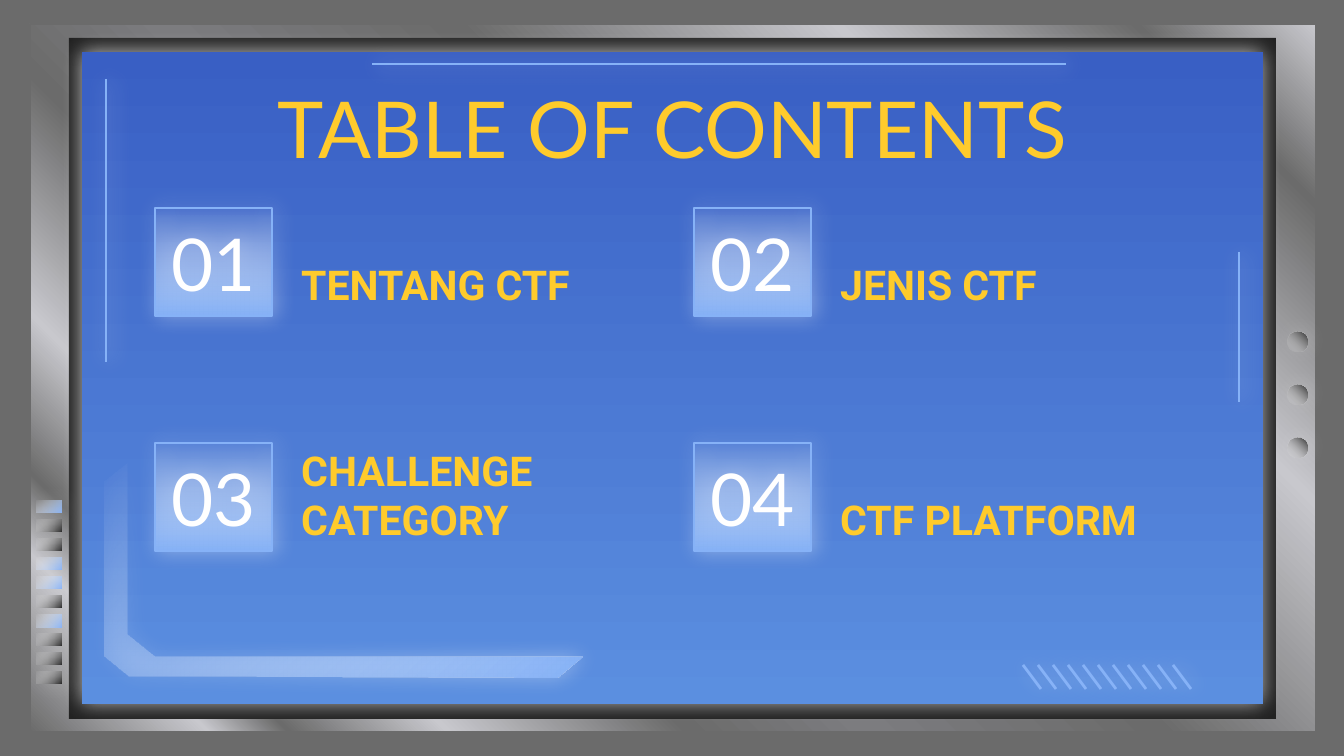
from lxml import etree
from pptx import Presentation
from pptx.dml.color import RGBColor
from pptx.enum.shapes import MSO_CONNECTOR, MSO_SHAPE
from pptx.enum.text import MSO_ANCHOR, PP_ALIGN
from pptx.oxml.ns import qn
from pptx.util import Inches, Pt

RECT, OVAL = MSO_SHAPE.RECTANGLE, MSO_SHAPE.OVAL
STRAIGHT = MSO_CONNECTOR.STRAIGHT
LEFT, CENTER = PP_ALIGN.LEFT, PP_ALIGN.CENTER
TOP, MIDDLE, BOTTOM = MSO_ANCHOR.TOP, MSO_ANCHOR.MIDDLE, MSO_ANCHOR.BOTTOM

SLIDE_W, SLIDE_H = 1344, 756
SCALE = Inches(10) / SLIDE_W
COLORS = {
    "steel": "6B6B6B", "steel_mid": "7C7C7F", "shine": "C8C8CD",
    "dark": "222222", "screen_top": "395FC4", "screen_bottom": "5B8FE0",
    "glow": "86B2F7", "white": "FFFFFF", "yellow": "FFCB2C",
}
BEZEL_STOPS = [(0, "steel"), (9, "shine"), (13, "steel"), (21, "shine"),
               (33, "steel"), (42, "steel_mid"), (57, "steel"),
               (76, "shine"), (91, "steel"), (100, "shine")]
SOFT_GLOW = (35, 1.5)
TOPICS = ["TENTANG CTF", "JENIS CTF", "CHALLENGE CATEGORY", "CTF PLATFORM"]


def px(length):
    """Turn pixels into EMU."""
    return round(length * SCALE)


def rgb(name):
    """Look up a named colour."""
    return RGBColor.from_string(COLORS[name])


def add_color(parent, name, alpha=100):
    """Append a colour element with an opacity in percent."""
    color = etree.SubElement(parent, qn("a:srgbClr"), val=COLORS[name])
    if alpha < 100:
        etree.SubElement(color, qn("a:alpha"), val=str(alpha * 1000))


def set_gradient(shape, stops, angle):
    """Fill with (position, colour[, opacity]) stops, angle clockwise."""
    shape.fill.gradient()
    gradient = shape._element.spPr.find(qn("a:gradFill"))
    for child in list(gradient):
        gradient.remove(child)
    gradient.set("rotWithShape", "1")
    stop_list = etree.SubElement(gradient, qn("a:gsLst"))
    for position, *color in stops:
        stop = etree.SubElement(stop_list, qn("a:gs"), pos=str(position * 1000))
        add_color(stop, *color)
    etree.SubElement(gradient, qn("a:lin"), ang=str(angle * 60000), scaled="0")


def fade(name):
    """Return stops from a colour to clear white."""
    return [(0, name), (100, "white", 0)]


def set_glow(shape, alpha, distance):
    """Give a blurred white shadow to a shape or connector."""
    properties = shape._element.spPr
    effects = properties.find(qn("a:effectLst"))
    if effects is None:
        effects = etree.SubElement(properties, qn("a:effectLst"))
    shadow = etree.SubElement(
        effects, qn("a:outerShdw"), blurRad=str(Pt(11.2)),
        dist=str(Pt(distance)), dir="0", algn="bl", rotWithShape="0")
    add_color(shadow, "white", alpha)


def style(shape, fill, angle=0, line=None, width=1.5, glow=None):
    """Set the fill (colour name or stops), outline and glow."""
    shape.shadow.inherit = False
    if isinstance(fill, str):
        shape.fill.solid()
        shape.fill.fore_color.rgb = rgb(fill)
    else:
        set_gradient(shape, fill, angle)
    if line:
        shape.line.color.rgb = rgb(line)
        shape.line.width = Pt(width)
    else:
        shape.line.fill.background()
    if glow:
        set_glow(shape, *glow)


def add_panel(slide, box, fill, kind=RECT, rotation=0, **look):
    """Add a styled preset shape."""
    panel = slide.shapes.add_shape(kind, *map(px, box))
    panel.rotation = rotation
    style(panel, fill, **look)
    return panel


def add_beam(slide, x1, y1, x2, y2):
    """Add a glowing straight line."""
    beam = slide.shapes.add_connector(STRAIGHT, *map(px, (x1, y1, x2, y2)))
    beam.line.color.rgb = rgb("glow")
    beam.line.width = Pt(1.5)
    set_glow(beam, *SOFT_GLOW)


def write(shape, text, size=22, font="Lato", color="yellow", bold=False,
          align=CENTER, anchor=TOP):
    """Put formatted text in a shape."""
    frame = shape.text_frame
    frame.word_wrap = True
    frame.vertical_anchor = anchor
    frame.margin_left = frame.margin_right = Inches(0.1)
    frame.margin_top = frame.margin_bottom = Inches(0.1)
    paragraph = frame.paragraphs[0]
    paragraph.alignment = align
    run = paragraph.add_run()
    run.text = text
    run.font.size = Pt(size)
    run.font.name = font
    run.font.bold = bold
    run.font.color.rgb = rgb(color)


def add_label(slide, box, text, **text_format):
    """Add a text box."""
    write(slide.shapes.add_textbox(*map(px, box)), text, **text_format)


def add_monitor(slide):
    """Draw the bezel, the screen, the knobs and the lamps."""
    add_panel(slide, (30, 24, 1286, 708), BEZEL_STOPS, angle=315,
              line="steel", width=0.75)
    add_panel(slide, (69, 38, 1207, 681), "dark")
    add_panel(slide, (82, 52, 1181, 652),
              [(0, "screen_top"), (100, "screen_bottom")], angle=90, glow=(72, 0))
    for knob in range(3):
        add_panel(slide, (1287, 332 + 53 * knob, 20, 20), fade("dark"), kind=OVAL,
                  rotation=90, angle=45, glow=SOFT_GLOW)
    lit_lamps = {0, 3, 4, 6}
    for lamp in range(10):
        add_panel(slide, (36, 501 + 19 * lamp, 25, 12),
                  fade("glow" if lamp in lit_lamps else "dark"),
                  rotation=180, angle=45, glow=SOFT_GLOW)


def add_screen_trim(slide):
    """Draw the hatching, the corner bracket and the beams."""
    for hatch in range(11):
        x = 1023 + 15 * hatch
        add_beam(slide, x, 665, x + 18, 689)
    outline = slide.shapes.build_freeform(556, 678, scale=SCALE)
    outline.add_line_segments([(129, 676), (105, 656), (105, 482), (128, 464),
                               (128, 634), (155, 656), (582, 656)], close=True)
    style(outline.convert_to_shape(), fade("glow"), angle=225, glow=SOFT_GLOW)
    add_beam(slide, 106, 79, 106, 362)
    add_beam(slide, 1239, 252, 1239, 402)
    add_beam(slide, 1066, 64, 372, 64)


def add_topic(slide, index, topic):
    """Add one numbered entry of the two-column grid."""
    row, column = divmod(index, 2)
    x, y = 155 + 539 * column, 208 + 235 * row
    number = add_panel(slide, (x, y, 117, 108), fade("glow"), angle=270,
                       line="glow", glow=SOFT_GLOW)
    write(number, f"{index + 1:02}", size=39, color="white", anchor=MIDDLE)
    add_label(slide, (x + 133, y - 6, 362, 120), topic, font="Roboto",
              bold=True, align=LEFT, anchor=BOTTOM)


def main():
    """Build the contents slide and save it."""
    deck = Presentation()
    deck.slide_width, deck.slide_height = px(SLIDE_W), px(SLIDE_H)
    slide = deck.slides.add_slide(deck.slide_layouts[6])
    slide.background.fill.solid()
    slide.background.fill.fore_color.rgb = rgb("steel")
    add_monitor(slide)
    add_screen_trim(slide)
    add_label(slide, (106, 67, 1133, 85), "TABLE OF CONTENTS", size=42)
    for index, topic in enumerate(TOPICS):
        add_topic(slide, index, topic)
    deck.save("out.pptx")


main()
